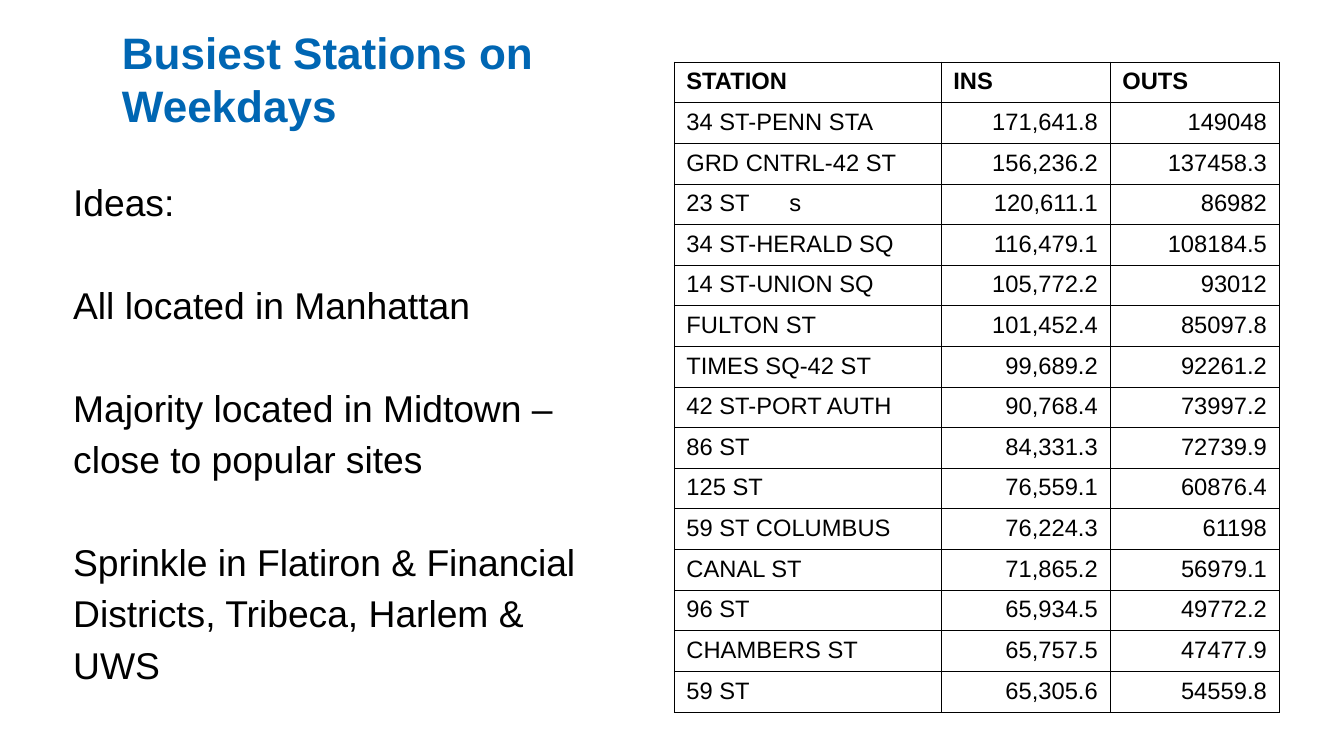
from dataclasses import dataclass

from lxml import etree
from pptx import Presentation
from pptx import util as u
from pptx.dml.color import RGBColor
from pptx.enum import text
from pptx.oxml import ns

COLORS = {"title": "0066B3", "ink": "000000"}
FONT = "Arial"
BORDER_WIDTH = u.Pt(0.57)
COLUMN_WIDTHS = (157.6, 99.8, 99.8)
ROW_HEIGHT = 24
TAB_STOP = u.Pt(60.8)
HEADERS = ("STATION", "INS", "OUTS")
IDEAS = (
    "Ideas:",
    "All located in Manhattan",
    "Majority located in Midtown – close to popular sites",
    "Sprinkle in Flatiron & Financial Districts, Tribeca, Harlem & UWS",
)


@dataclass(frozen=True)
class Station:
    name: str
    ins: str
    outs: str


STATIONS = (
    Station("34 ST-PENN STA", "171,641.8", "149048"),
    Station("GRD CNTRL-42 ST", "156,236.2", "137458.3"),
    Station("23 ST\ts", "120,611.1", "86982"),
    Station("34 ST-HERALD SQ", "116,479.1", "108184.5"),
    Station("14 ST-UNION SQ", "105,772.2", "93012"),
    Station("FULTON ST", "101,452.4", "85097.8"),
    Station("TIMES SQ-42 ST", "99,689.2", "92261.2"),
    Station("42 ST-PORT AUTH", "90,768.4", "73997.2"),
    Station("86 ST", "84,331.3", "72739.9"),
    Station("125 ST", "76,559.1", "60876.4"),
    Station("59 ST COLUMBUS", "76,224.3", "61198"),
    Station("CANAL ST", "71,865.2", "56979.1"),
    Station("96 ST", "65,934.5", "49772.2"),
    Station("CHAMBERS ST", "65,757.5", "47477.9"),
    Station("59 ST", "65,305.6", "54559.8"),
)


def place(shape, left: float, top: float, width: float, height: float) -> None:
    shape.left, shape.top = u.Pt(left), u.Pt(top)
    shape.width, shape.height = u.Pt(width), u.Pt(height)


def set_margins(target, horizontal: float, vertical: float) -> None:
    target.margin_left = target.margin_right = u.Pt(horizontal)
    target.margin_top = target.margin_bottom = u.Pt(vertical)


def format_runs(paragraph, size: float, color: str, bold: bool = False) -> None:
    for run in paragraph.runs:
        run.font.name = FONT
        run.font.size = u.Pt(size)
        run.font.bold = bold
        run.font.color.rgb = RGBColor.from_string(COLORS[color])


def add_title(slide) -> None:
    title = slide.shapes.title
    place(title, 0, 5.8, 360, 80.6)
    frame = title.text_frame
    frame.text = "Busiest Stations on\vWeekdays"
    frame.word_wrap = True
    frame.auto_size = text.MSO_AUTO_SIZE.NONE
    frame.vertical_anchor = text.MSO_ANCHOR.MIDDLE
    set_margins(frame, 0, 0)
    frame.margin_left = u.Pt(72)
    paragraph = frame.paragraphs[0]
    paragraph.alignment = text.PP_ALIGN.LEFT
    format_runs(paragraph, 26, "title", True)


def add_ideas(slide) -> None:
    body = slide.placeholders[1]
    place(body, 36, 98.6, 331.2, 290.2)
    frame = body.text_frame
    frame.text = "\n".join(IDEAS)
    frame.word_wrap = True
    frame.auto_size = text.MSO_AUTO_SIZE.NONE
    frame.vertical_anchor = text.MSO_ANCHOR.TOP
    set_margins(frame, 7.2, 3.6)
    for index, paragraph in enumerate(frame.paragraphs):
        properties = paragraph._p.get_or_add_pPr()
        properties.set("marL", "0")
        properties.set("indent", "0")
        etree.SubElement(properties, ns.qn("a:buNone"))
        paragraph.alignment = text.PP_ALIGN.LEFT
        paragraph.line_spacing = 1.15
        paragraph.space_before = u.Pt(30.3 if index else 0)
        paragraph.space_after = u.Pt(0)
        format_runs(paragraph, 22, "ink")


def add_borders(cell) -> None:
    properties = cell._tc.get_or_add_tcPr()
    for side in ("lnL", "lnR", "lnT", "lnB"):
        line = etree.SubElement(properties, ns.qn(f"a:{side}"), w=str(int(BORDER_WIDTH)))
        fill = etree.SubElement(line, ns.qn("a:solidFill"))
        etree.SubElement(fill, ns.qn("a:srgbClr"), val=COLORS["ink"])


def fill_cell(cell, value: str, header: bool, numeric: bool) -> None:
    add_borders(cell)
    cell.fill.background()
    set_margins(cell, 7.2, 3.6)
    cell.text_frame.text = value
    paragraph = cell.text_frame.paragraphs[0]
    if "\t" in value:
        tabs = etree.SubElement(paragraph._p.get_or_add_pPr(), ns.qn("a:tabLst"))
        etree.SubElement(tabs, ns.qn("a:tab"), pos=str(int(TAB_STOP)), algn="l")
    right = numeric and not header
    paragraph.alignment = text.PP_ALIGN.RIGHT if right else text.PP_ALIGN.LEFT
    format_runs(paragraph, 14, "ink", header)


def add_station_table(slide) -> None:
    rows = [HEADERS] + [(station.name, station.ins, station.outs) for station in STATIONS]
    frame = slide.shapes.add_table(
        len(rows), len(HEADERS), u.Pt(398), u.Pt(36.7),
        u.Pt(sum(COLUMN_WIDTHS)), u.Pt(ROW_HEIGHT * len(rows)),
    )
    table = frame.table
    table.first_row = table.horz_banding = False
    for column, width in zip(table.columns, COLUMN_WIDTHS):
        column.width = u.Pt(width)
    for row_index, values in enumerate(rows):
        table.rows[row_index].height = u.Pt(ROW_HEIGHT)
        for column_index, value in enumerate(values):
            cell = table.cell(row_index, column_index)
            fill_cell(cell, value, row_index == 0, column_index > 0)


def main() -> None:
    presentation = Presentation()
    presentation.slide_width = u.Pt(793.44)
    presentation.slide_height = u.Pt(446.4)
    slide = presentation.slides.add_slide(presentation.slide_layouts[1])
    add_title(slide)
    add_ideas(slide)
    add_station_table(slide)
    presentation.save("out.pptx")


if __name__ == "__main__":
    main()
